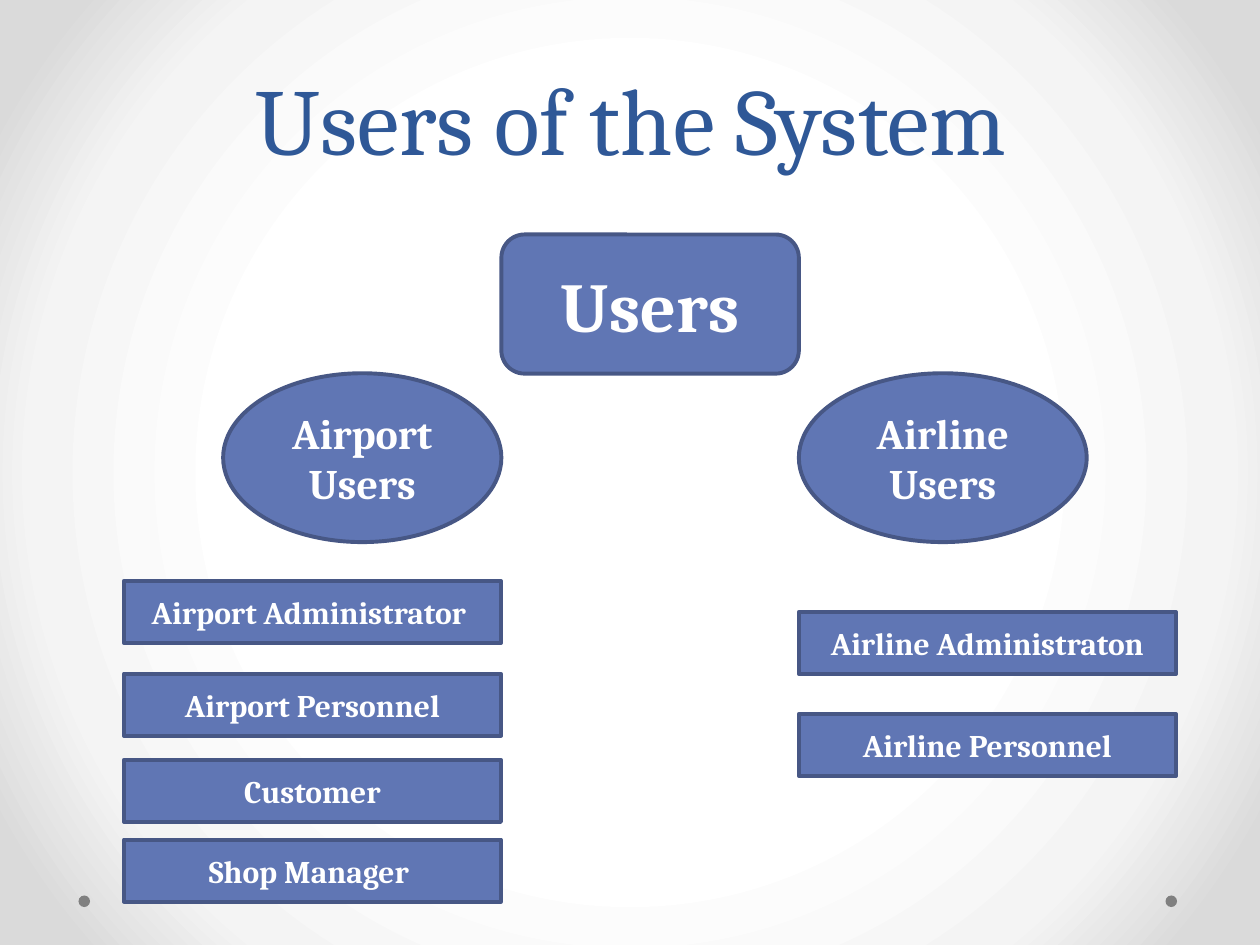
"""Build the slide that charts the users of the system."""
from dataclasses import dataclass

from lxml import etree
from pptx import Presentation
from pptx.dml.color import RGBColor
from pptx.enum import shapes as sh, text as tx
from pptx.oxml import ns
from pptx.slide import Slide
from pptx.text.text import TextFrame
from pptx.util import Pt

FONT = "Cambria"
NAVY = RGBColor(0x2F, 0x58, 0x97)
BLUE = RGBColor(0x60, 0x76, 0xB4)
EDGE = RGBColor(0x47, 0x57, 0x85)
GRAY = RGBColor(0x80, 0x80, 0x80)
WHITE = RGBColor(0xFF, 0xFF, 0xFF)
PALE = RGBColor(0xF4, 0xF4, 0xF4)
SILVER = RGBColor(0xDA, 0xDA, 0xDA)
STOPS = ((50, WHITE), (76, PALE), (92, SILVER))

RECT = sh.MSO_SHAPE.RECTANGLE
ROUND = sh.MSO_SHAPE.ROUNDED_RECTANGLE
OVAL = sh.MSO_SHAPE.OVAL


@dataclass(frozen=True)
class Node:
    """A labelled shape, measured in points."""
    label: str
    kind: sh.MSO_SHAPE
    left: float
    top: float
    width: float
    height: float
    size: float


@dataclass(frozen=True)
class Column:
    """A stack of role boxes sharing one left edge."""
    left: float
    roles: tuple[tuple[str, float], ...]


GROUPS = (
    Node("Users", ROUND, 286.5, 134, 170, 79.5, 40),
    Node("Airport Users", OVAL, 127.5, 213.3, 159, 96.5, 24),
    Node("Airline Users", OVAL, 456.5, 213.3, 164.5, 96.5, 24),
)
COLUMNS = (
    Column(70.8, (("Airport Administrator ", 332), ("Airport Personnel", 385),
                  ("Customer", 434.2), ("Shop Manager ", 479.8))),
    Column(456.5, (("Airline Administraton", 349.7), ("Airline Personnel", 408))),
)
DOTS = (44.85, 666)


def paint(slide: Slide) -> None:
    """Fill the background with a circular gradient."""
    slide.background.fill.gradient()
    grad = slide.element.find(".//" + ns.qn("a:gradFill"))
    for child in list(grad):
        grad.remove(child)
    stops = etree.SubElement(grad, ns.qn("a:gsLst"))
    for spot, shade in STOPS:
        stop = etree.SubElement(stops, ns.qn("a:gs"), pos=str(spot * 1000))
        etree.SubElement(stop, ns.qn("a:srgbClr"), val=str(shade))
    ring = etree.SubElement(grad, ns.qn("a:path"), path="circle")
    etree.SubElement(ring, ns.qn("a:fillToRect"),
                     {side: "50000" for side in "ltrb"})


def write(frame: TextFrame, label: str, size: float, shade: RGBColor,
          bold: bool, anchor: tx.MSO_ANCHOR) -> None:
    """Put one centred run into a text frame."""
    frame.word_wrap = True
    frame.vertical_anchor = anchor
    line = frame.paragraphs[0]
    line.alignment = tx.PP_ALIGN.CENTER
    run = line.add_run()
    run.text = label
    run.font.name = FONT
    run.font.size = Pt(size)
    run.font.bold = bold
    run.font.color.rgb = shade


def draw_node(slide: Slide, node: Node) -> None:
    """Draw one outlined shape with its label."""
    shape = slide.shapes.add_shape(node.kind, Pt(node.left), Pt(node.top),
                                   Pt(node.width), Pt(node.height))
    shape.shadow.inherit = False
    shape.fill.solid()
    shape.fill.fore_color.rgb = BLUE
    shape.line.color.rgb = EDGE
    shape.line.width = Pt(2.25)
    write(shape.text_frame, node.label, node.size, WHITE, True,
          tx.MSO_ANCHOR.MIDDLE)


def draw_dot(slide: Slide, left: float) -> None:
    """Draw one small grey dot near the foot."""
    dot = slide.shapes.add_shape(OVAL, Pt(left), Pt(511.7), Pt(6.6), Pt(6.6))
    dot.shadow.inherit = False
    dot.fill.solid()
    dot.fill.fore_color.rgb = GRAY
    dot.line.fill.background()


def draw_title(slide: Slide) -> None:
    """Draw the heading."""
    box = slide.shapes.add_textbox(Pt(36.5), Pt(15), Pt(648), Pt(88.5))
    write(box.text_frame, "Users of the System", 54, NAVY, False,
          tx.MSO_ANCHOR.BOTTOM)
    box.text_frame.paragraphs[0].line_spacing = Pt(58)


def main() -> None:
    """Build and save the deck."""
    deck = Presentation()
    deck.slide_width, deck.slide_height = Pt(720), Pt(540)
    slide = deck.slides.add_slide(deck.slide_layouts[6])
    paint(slide)
    for left in DOTS:
        draw_dot(slide, left)
    draw_title(slide)
    for node in GROUPS:
        draw_node(slide, node)
    for column in COLUMNS:
        for role, top in column.roles:
            draw_node(slide, Node(role, RECT, column.left, top, 215.5, 35.5, 18))
    deck.save("out.pptx")


if __name__ == "__main__":
    main()
